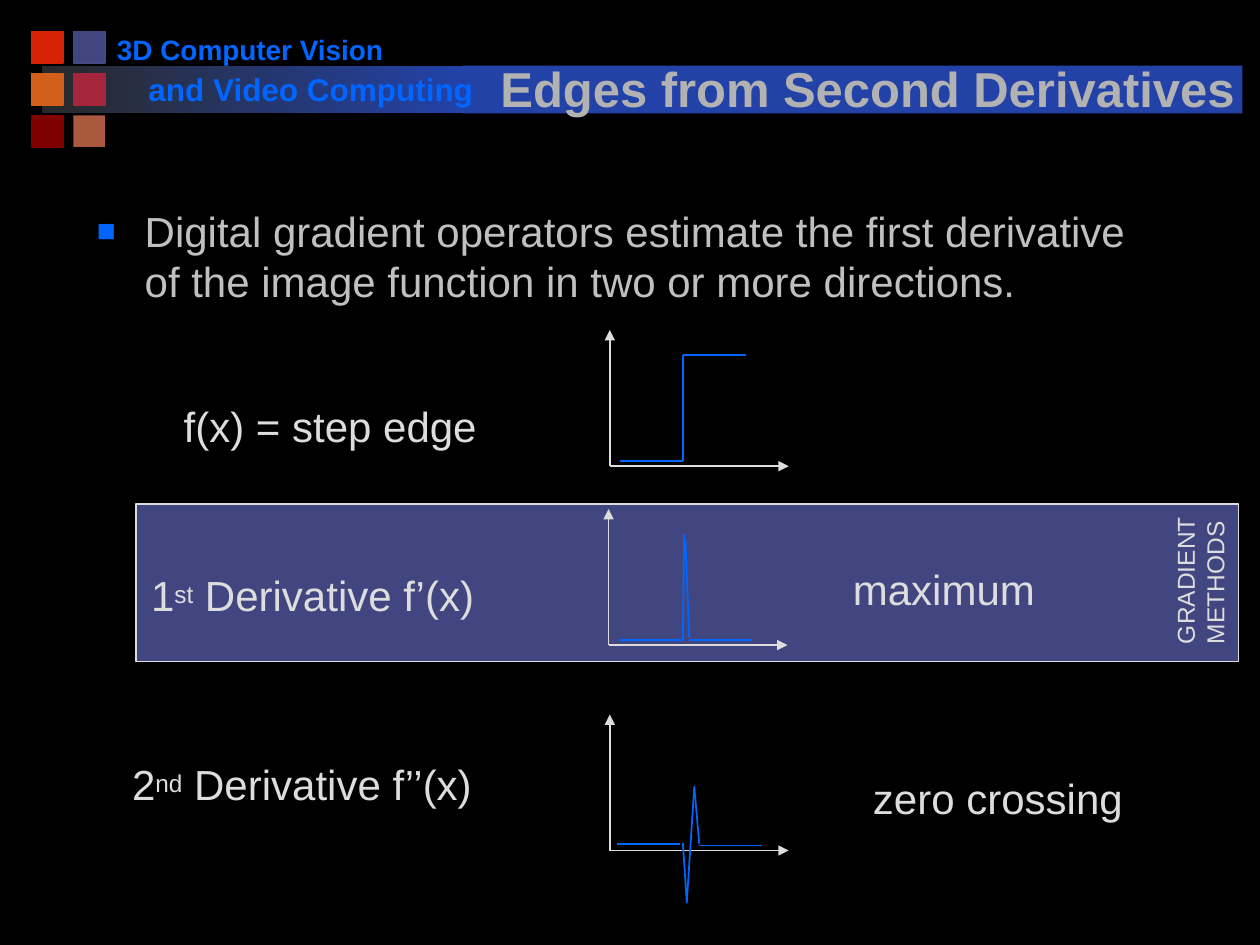
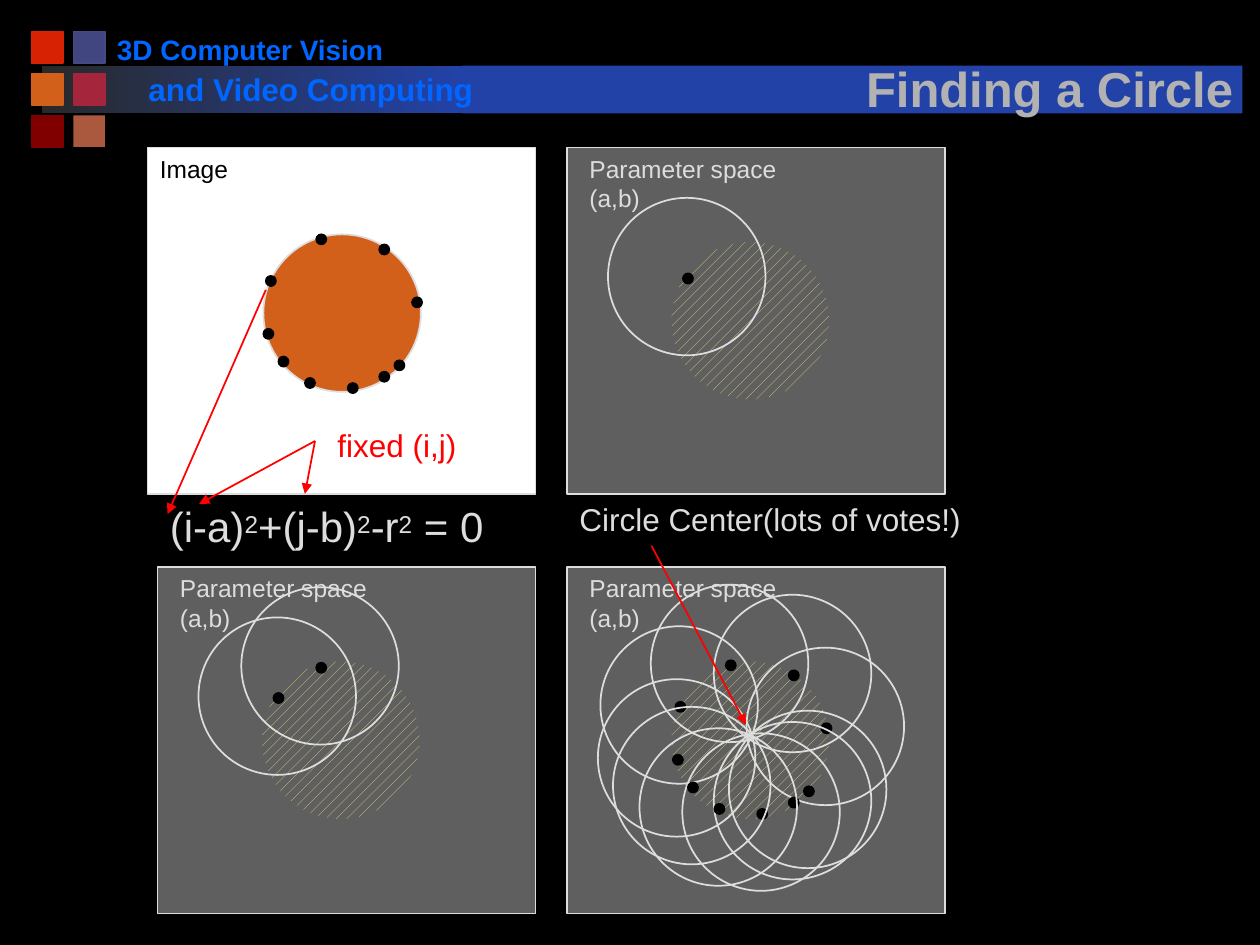
from dataclasses import dataclass
from lxml import etree
from pptx import Presentation
from pptx import util as u
from pptx.dml.color import RGBColor
from pptx.enum import dml, shapes, text
from pptx.oxml import ns


@dataclass(frozen=True)
class Theme:
    font: str = "Arial"
    black: str = "000000"
    white: str = "FFFFFF"
    ink: str = "DDDDDD"
    body: str = "C0C0C0"
    title: str = "B2B2B2"
    accent: str = "0066FF"
    red: str = "FF0000"
    orange: str = "D2601A"
    indigo: str = "424680"
    gray: str = "5F5F5F"
    hatch: str = "EBE077"
    band_dark: str = "292929"
    band: str = "2242A8"
    small: int = 14
    course: int = 16
    medium: int = 18
    large: int = 24
    heading: int = 28


theme = Theme()
rgb = RGBColor.from_string
deck = Presentation()
deck.slide_width, deck.slide_height = u.Inches(10), u.Inches(7.5)
# The grid has 100 columns and 75 rows of square cells
CELL = deck.slide_width // 100
RECT, OVAL = shapes.MSO_SHAPE.RECTANGLE, shapes.MSO_SHAPE.OVAL


def put_shape(page, kind, area, fill=None, line=None):
    shape = page.shapes.add_shape(kind, *[round(n * CELL) for n in area])
    shape.shadow.inherit = False
    if fill:
        shape.fill.solid()
        shape.fill.fore_color.rgb = rgb(fill)
    else:
        shape.fill.background()
    if line:
        shape.line.color.rgb = rgb(line)
        shape.line.width = u.Pt(1)
    else:
        shape.line.fill.background()
    return shape


def put_text(page, area, lines, size, color, bold=False, wrap=False):
    """Add a text box; parts of a line between carets are superscript."""
    box = page.shapes.add_textbox(*[round(n * CELL) for n in area])
    frame = box.text_frame
    frame.word_wrap = wrap
    for number, line in enumerate(lines):
        para = frame.add_paragraph() if number else frame.paragraphs[0]
        for part, words in enumerate(line.split("^")):
            span = para.add_run()
            span.text = words
            span.font.name = theme.font
            span.font.size = u.Pt(size)
            span.font.bold = bold
            span.font.color.rgb = rgb(color)
            if part % 2:
                span.font._element.set("baseline", "20000")
    return box


# Shared header: band, colour squares, course name, title with shadow
squares = [
    [("D82204", "D82204"), (theme.indigo, "454A85")],
    [(theme.orange, theme.orange), ("A5253D", "A5253D")],
    [("800000", "800000"), ("AA583E", None)],
]
titles = [
    ("Edges from Second Derivatives", 37.9, 61.9),
    ("Finding a Circle", 67.4, 31.8),
]
pages = []
for title, left, width in titles:
    page = deck.slides.add_slide(deck.slide_layouts[6])
    pages.append(page)
    page.background.fill.solid()
    page.background.fill.fore_color.rgb = rgb(theme.black)

    fade = put_shape(page, RECT, (3.33, 5.2, 33.4, 3.8), theme.band)
    fade.fill.gradient()
    fade.fill.gradient_angle = 0
    for stop, color in zip(fade.fill.gradient_stops, (theme.band_dark, theme.band)):
        stop.color.rgb = rgb(color)
    put_shape(page, RECT, (36.7, 5.2, 61.9, 3.8), theme.band)
    for row, pair in enumerate(squares):
        for column, (fill, line) in enumerate(pair):
            area = (2.5 + column * 3.33, 2.5 + row * 3.33, 2.5, 2.5)
            put_shape(page, RECT, area, fill, line)
    put_text(page, (8.3, 2.1, 23.2, 3.7), ["3D Computer Vision"],
             theme.course, theme.accent, bold=True)
    put_text(page, (10.8, 5.1, 28.3, 4), ["and Video Computing"],
             theme.medium, theme.accent, bold=True)

    box = put_text(page, (left, 3.1, width, 6.7), [title],
                   theme.heading, theme.title, bold=True)
    box.text_frame.vertical_anchor = text.MSO_ANCHOR.BOTTOM
    para = box.text_frame.paragraphs[0]
    para.alignment = text.PP_ALIGN.CENTER
    effects = etree.Element(ns.qn("a:effectLst"))
    shadow = etree.SubElement(effects, ns.qn("a:outerShdw"),
                              dist="35921", dir="2700000", algn="ctr")
    etree.SubElement(shadow, ns.qn("a:srgbClr"), val=theme.black)
    para.runs[0].font._element.find(ns.qn("a:solidFill")).addnext(effects)

edges, circle = pages
strokes = []  # page, colour, arrowhead, x1, y1, x2, y2

# Edges from second derivatives
put_shape(edges, RECT, (10.8, 40, 87.5, 12.5), theme.indigo, theme.ink)
box = put_text(edges, (6.7, 15.8, 85.8, 9.2),
               ["Digital gradient operators estimate the first derivative "
                "of the image function in two or more directions."],
               theme.large, theme.body, wrap=True)
props = box.text_frame.paragraphs[0]._p.get_or_add_pPr()
props.set("marL", str(u.Inches(0.38)))
props.set("indent", str(-u.Inches(0.38)))
bullet_color = etree.SubElement(props, ns.qn("a:buClr"))
etree.SubElement(bullet_color, ns.qn("a:srgbClr"), val=theme.accent)
etree.SubElement(props, ns.qn("a:buSzPct"), val="75000")
etree.SubElement(props, ns.qn("a:buFont"), typeface=theme.font)
etree.SubElement(props, ns.qn("a:buChar"), char="■")

# Each plot: origin, then curve segments measured from the origin
plots = [
    (48.4, 37, [(0.8, -0.4, 5.8, -0.4), (5.8, -8.8, 10.8, -8.8),
                (5.8, -8.8, 5.8, -0.4)]),
    (48.3, 51.2, [(0.9, -0.4, 5.9, -0.4), (6.4, -0.4, 11.4, -0.4),
                  (6, -8.8, 5.9, -0.4), (6.1, -8.4, 6.4, -0.6)]),
    (48.4, 67.5, [(0.6, -0.5, 5.6, -0.5), (7.1, -0.4, 12.1, -0.4),
                  (6.7, -5, 6.1, 4.2), (5.8, -0.6, 6.1, 4),
                  (6.7, -5.1, 7.1, -0.5)]),
]
for x, y, curve in plots:
    strokes.append((edges, theme.ink, True, x, y, x, y - 10.8))
    strokes.append((edges, theme.ink, True, x, y, x + 14.2, y))
    for x1, y1, x2, y2 in curve:
        strokes.append((edges, theme.accent, False, x + x1, y + y1, x + x2, y + y2))

plot_labels = [
    (13.6, 31.3, 25.3, "f(x) = step edge"),
    (11, 44.7, 27.8, "1^st^ Derivative f’(x)"),
    (9.5, 59.7, 29.3, "2^nd^ Derivative f’’(x)"),
    (66.7, 44.2, 16.5, "maximum"),
    (68.3, 60.8, 21.9, "zero crossing"),
]
for left, top, width, label in plot_labels:
    put_text(edges, (left, top, width, 5), [label], theme.large, theme.ink)
box = put_text(edges, (89.2, 43.2, 12.1, 5.7), ["GRADIENT", "METHODS"],
               theme.small, theme.ink)
box.rotation = 270

# Finding a circle: edge points found on the disc, as dot centres
DISC, DOT = 12.5, 0.8
edge_points = [
    (21.5, 22.3), (25.5, 19), (30.5, 19.8), (33.1, 24), (31.7, 29),
    (30.5, 29.9), (28, 30.8), (24.6, 30.4), (21.3, 26.5), (22.5, 28.7),
]
put_text(circle, (12.5, 39.2, 27.4, 5), ["(i-a)^2^+(j-b)^2^-r^2^ = 0"],
         theme.large, theme.ink)
put_shape(circle, RECT, (11.7, 11.7, 30.8, 27.5), theme.white, theme.ink)
put_shape(circle, OVAL, (20.9, 18.6, DISC, DISC), theme.orange, theme.ink)
for x, y in edge_points:
    put_shape(circle, OVAL, (x - DOT / 2, y - DOT / 2, DOT, DOT),
              theme.black, theme.black)
put_text(circle, (11.7, 11.7, 7.4, 3.3), ["Image"], theme.small, theme.black)
put_text(circle, (25.8, 33.3, 11.5, 4), ["fixed (i,j)"], theme.medium, theme.red)

# Parameter spaces: panel corner, then the points that vote there
panels = [
    (45, 11.7, [(54.6, 22.1)]),
    (12.5, 45, [(22.1, 55.4), (25.5, 53)]),
    (45, 45, [(x + 32.5, y + 33.8) for x, y in edge_points]),
]
for left, top, voters in panels:
    put_shape(circle, RECT, (left, top, 30, 27.5), theme.gray, theme.ink)
    put_text(circle, (left + 0.8, top, 19, 5.6), ["Parameter space (a,b)"],
             theme.small, theme.ink, wrap=True)
    disc = put_shape(circle, OVAL, (left + 8.3, top + 7.5, DISC, DISC), theme.gray)
    disc.fill.patterned()
    disc.fill.pattern = dml.MSO_PATTERN.PERCENT_20
    disc.fill.fore_color.rgb = rgb(theme.hatch)
    disc.fill.back_color.rgb = rgb(theme.gray)
    for x, y in voters:
        put_shape(circle, OVAL, (x - 0.1 - DISC / 2, y - 0.15 - DISC / 2, DISC, DISC),
                  line=theme.ink)
        put_shape(circle, OVAL, (x - DOT / 2, y - DOT / 2, DOT, DOT),
                  theme.black, theme.black)
put_text(circle, (45, 39.2, 33.3, 4), ["Circle Center(lots of votes!)"],
         theme.medium, theme.ink, wrap=True)
pointers = [(25, 35, 15.8, 40), (25, 35, 24.2, 39.2),
            (21.1, 23, 13.3, 40.8), (51.7, 43.3, 59.2, 57.5)]
strokes += [(circle, theme.red, True, *ends) for ends in pointers]

# Axes, curves and pointers
for page, color, arrow, *ends in strokes:
    stroke = page.shapes.add_connector(shapes.MSO_CONNECTOR.STRAIGHT,
                                       *[round(n * CELL) for n in ends])
    stroke.line.color.rgb = rgb(color)
    stroke.line.width = u.Pt(1)
    if arrow:
        etree.SubElement(stroke.line._get_or_add_ln(), ns.qn("a:tailEnd"),
                         type="triangle")
    etree.SubElement(stroke._element.spPr, ns.qn("a:effectLst"))

deck.save("out.pptx")
